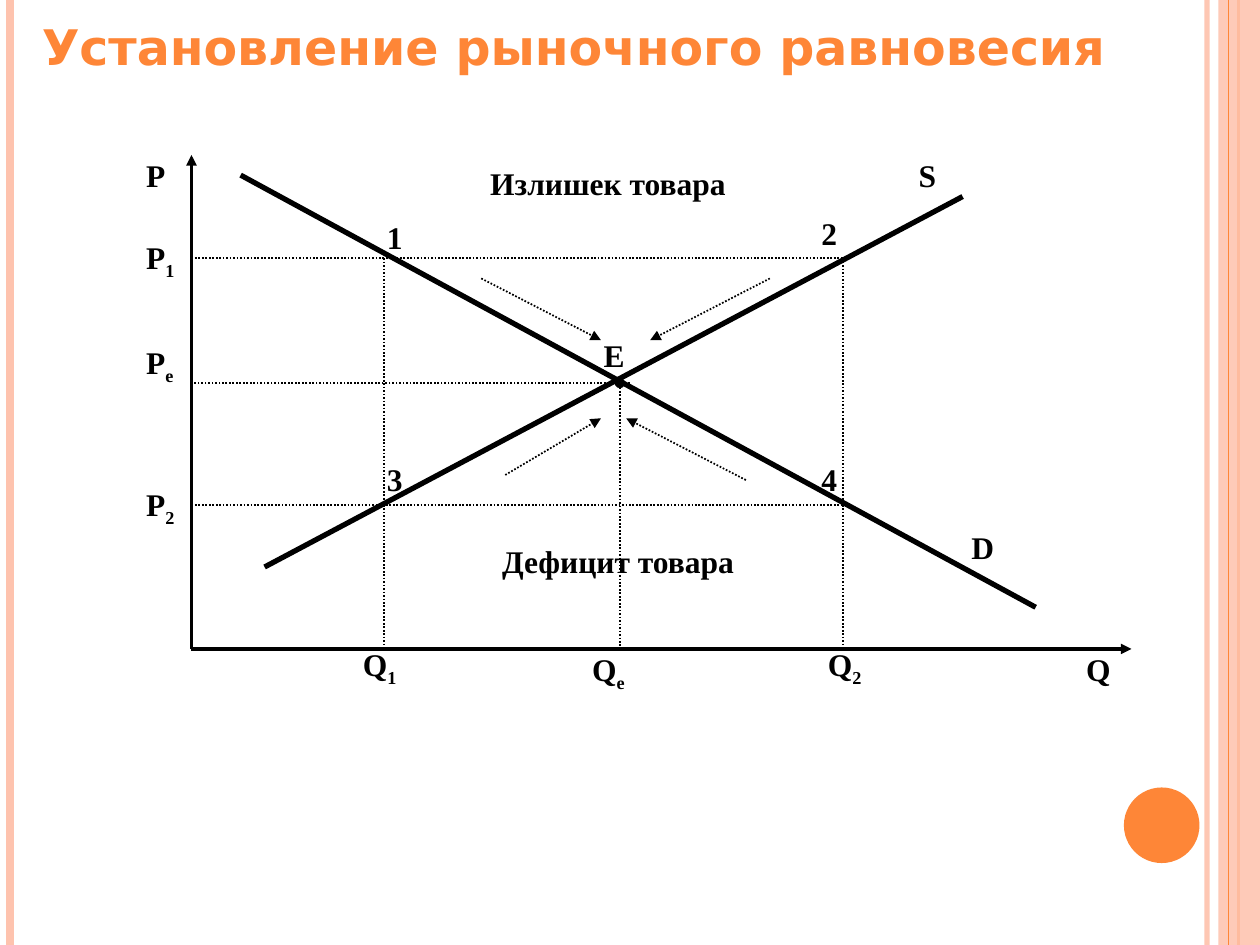
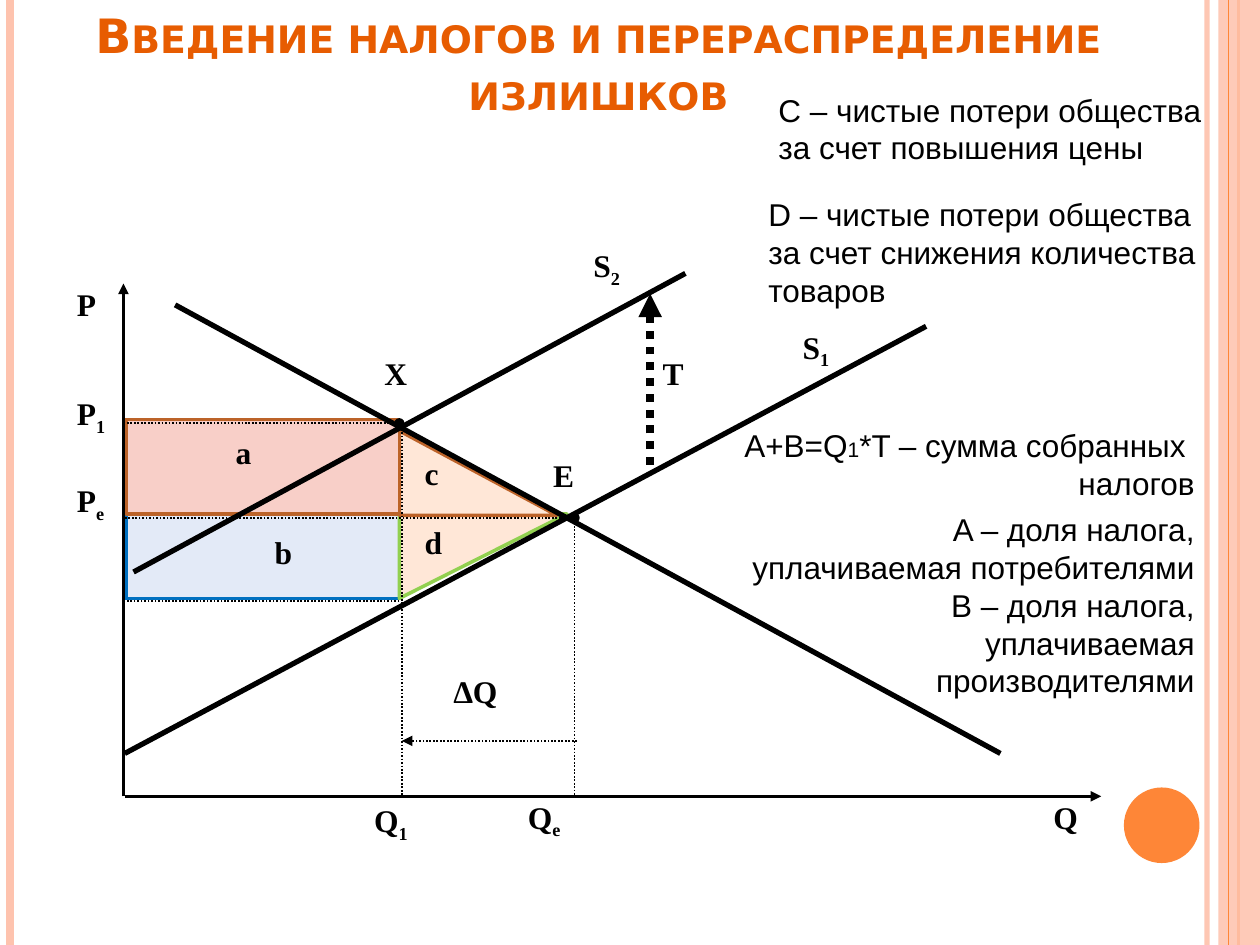
from lxml import etree
from pptx import Presentation
from pptx.dml.color import RGBColor
from pptx.enum.dml import MSO_LINE
from pptx.enum.shapes import MSO_CONNECTOR, MSO_SHAPE
from pptx.enum.text import MSO_ANCHOR, MSO_AUTO_SIZE, PP_ALIGN
from pptx.oxml.ns import qn
from pptx.util import Inches, Pt

STRAIGHT = MSO_CONNECTOR.STRAIGHT
RECT, OVAL, TRIANGLE = MSO_SHAPE.RECTANGLE, MSO_SHAPE.OVAL, MSO_SHAPE.RIGHT_TRIANGLE
DOTS = MSO_LINE.ROUND_DOT
LEFT, CENTER, RIGHT = PP_ALIGN.LEFT, PP_ALIGN.CENTER, PP_ALIGN.RIGHT
TOP, BOTTOM = MSO_ANCHOR.TOP, MSO_ANCHOR.BOTTOM
GROW = MSO_AUTO_SIZE.SHAPE_TO_FIT_TEXT

BLACK, ORANGE, PEACH, DARK_ORANGE = "000000", "FE8637", "FEC3AE", "E75C01"
LABEL = {"name": "Times New Roman", "size": Pt(18), "bold": True}
NOTE = {"name": "Arial", "size": Pt(18), "bold": False}
TITLE = {"name": "DejaVu Sans", "size": Pt(28), "bold": True}


def line(s, x1, y1, x2, y2, width=1, color=BLACK, dash=None, head=None, tail=None):
    c = s.shapes.add_connector(STRAIGHT, Inches(x1), Inches(y1), Inches(x2), Inches(y2))
    c.line.width = Pt(width)
    c.line.color.rgb = RGBColor.from_string(color)
    if dash:
        c.line.dash_style = dash
    ln = c.line._get_or_add_ln()
    for end, kind in (("headEnd", head), ("tailEnd", tail)):
        if kind:
            etree.SubElement(ln, qn(f"a:{end}")).set("type", kind)
    etree.SubElement(c.element.spPr, qn("a:effectLst"))
    return c


def write(sp, paragraphs, fmt, color=BLACK, align=LEFT, index_size=None):
    """Fill a shape; every second piece between underscores is an index."""
    tf = sp.text_frame
    for i, content in enumerate(paragraphs):
        p = tf.add_paragraph() if i else tf.paragraphs[0]
        p.alignment = align
        p.space_before = Pt(0)
        for j, piece in enumerate(content.split("_")):
            r = p.add_run()
            r.text = piece
            for name, value in fmt.items():
                setattr(r.font, name, value)
            r.font.color.rgb = RGBColor.from_string(color)
            if j % 2 and index_size:
                r.font.size = Pt(index_size)
            elif j % 2:
                r._r.get_or_add_rPr().set("baseline", "-25000")


prs = Presentation()
prs.slide_width, prs.slide_height = Inches(10), Inches(7.5)
layout = prs.slide_layouts[5]
market, taxes = [prs.slides.add_slide(layout) for _ in range(2)]

# Side bands and circle, shared through the slide master
decor = [line(market, x, 0, x, 7.5, width, color) for x, width, color in
         ((9.58, 3, PEACH), (0.08, 4.5, PEACH), (9.83, 1.5, ORANGE), (9.75, 0.75, ORANGE))]
for kind, box, color in ((RECT, (9.67, 0, 0.33, 7.5), PEACH),
                         (OVAL, (8.92, 6.25, 0.6, 0.6), ORANGE)):
    sp = market.shapes.add_shape(kind, *map(Inches, box))
    sp.shadow.inherit = False
    sp.fill.solid()
    sp.fill.fore_color.rgb = RGBColor.from_string(color)
    sp.line.fill.background()
    decor.append(sp)
right_line, left_line, thick_line, thin_line, band, circle = decor
for sp, alpha in ((right_line, 93000), (band, 87000)):
    srgb = next(sp.element.iter(qn("a:srgbClr")))
    etree.SubElement(srgb, qn("a:alpha")).set("val", str(alpha))
for i, sp in enumerate((right_line, left_line, thick_line, band, thin_line, circle)):
    next(sp.element.iter(qn("p:cNvPr"))).set("id", str(100 + i))
    prs.slide_master.shapes.element.append(sp.element)

# Titles
for s, words, box, size, color, anchor in (
        (market, "Установление рыночного равновесия", (0.22, 0.08, 8.66, 1.03), 28, ORANGE, TOP),
        (taxes, "Введение налогов и перераспределение излишков", (0, 0, 9.5, 1), 27,
         DARK_ORANGE, BOTTOM)):
    sp = s.shapes.title
    sp.left, sp.top, sp.width, sp.height = map(Inches, box)
    sp.text_frame.vertical_anchor = anchor
    sp.text_frame.word_wrap = True
    sp.text_frame.auto_size = MSO_AUTO_SIZE.NONE
    write(sp, [words], {**TITLE, "size": Pt(size)}, color, CENTER)
taxes.shapes.title.text_frame.paragraphs[0].runs[0]._r.get_or_add_rPr().set("cap", "small")

# Areas between the curves
for kind, box, fill, border in (
        (RECT, (1, 3.33, 2.17, 1.42), "E3EAF7", "0070C0"),
        (TRIANGLE, (3.17, 4.08, 1.33, 0.67), "FFE7D7", "92D050"),
        (TRIANGLE, (3.17, 3.42, 1.25, 0.67), "FFE7D7", "BC6329"),
        (RECT, (1, 3.33, 2.17, 0.75), "F8CFC8", "BC6329")):
    sp = taxes.shapes.add_shape(kind, *map(Inches, box))
    sp.shadow.inherit = False
    sp.fill.solid()
    sp.fill.fore_color.rgb = RGBColor.from_string(fill)
    sp.line.color.rgb = RGBColor.from_string(border)
    sp.line.width = Pt(2)
    if border == "92D050":
        sp.element.spPr.find(qn("a:xfrm")).set("flipV", "1")

# Axes and curves
for s, axes, curves in (
        (market, ((1.52, 5.15, 1.52, 1.23), (1.52, 5.15, 8.98, 5.15)),
         ((1.91, 1.39, 8.22, 4.82), (2.1, 4.5, 7.64, 1.56))),
        (taxes, ((0.98, 6.32, 0.98, 2.25), (0.99, 6.32, 8.74, 6.32)),
         ((1.39, 2.42, 7.94, 5.98), (0.99, 5.98, 7.35, 2.59), (1.06, 4.54, 5.44, 2.17)))):
    for ends in axes:
        line(s, *ends, width=2, tail="triangle")
    for ends in curves:
        line(s, *ends, width=3)

# Dotted guides and arrows
for s, ends, head, tail in (
        (market, (5, 3.04, 1.53, 3.04), None, None),
        (market, (4.92, 3.04, 4.92, 5.16), "oval", None),
        (market, (1.52, 2.05, 6.69, 2.05), None, None),
        (market, (1.52, 4.01, 6.68, 4.01), None, None),
        (market, (6.69, 2.05, 6.69, 5.15), None, None),
        (market, (3.05, 2.05, 3.05, 5.15), None, None),
        (market, (3.82, 2.21, 4.77, 2.7), None, "triangle"),
        (market, (4.01, 3.77, 4.77, 3.32), None, "triangle"),
        (market, (6.11, 2.21, 5.16, 2.7), None, "triangle"),
        (market, (5.92, 3.81, 4.97, 3.32), None, "triangle"),
        (taxes, (3.19, 3.43, 3.19, 6.31), None, None),
        (taxes, (4.58, 5.88, 3.19, 5.88), None, "triangle"),
        (taxes, (0.98, 3.36, 3.17, 3.36), None, "oval"),
        (taxes, (3.17, 4.77, 0.98, 4.77), None, None),
        (taxes, (4.56, 4.11, 0.99, 4.11), None, None),
        (taxes, (4.56, 4.11, 4.56, 6.32), "oval", None)):
    line(s, *ends, dash=DOTS, head=head, tail=tail)
line(taxes, 5.16, 3.69, 5.16, 2.33, width=4.5, dash=DOTS, tail="triangle")

# Labels of axes, curves, points and areas
for s, width, height, labels in (
        (market, 0.38, 0.49, (
            ("P", 1.14, 1.23), ("P_1", 1.14, 1.88), ("P_e", 1.14, 2.71), ("P_2", 1.14, 3.84),
            ("S", 7.27, 1.23))),
        (market, 0.57, 0.49, (
            ("Q_1", 2.86, 5.11), ("Q_e", 4.68, 5.15), ("Q_2", 6.55, 5.11), ("Q", 8.6, 5.15),
            ("E", 4.77, 2.66), ("D", 7.69, 4.18), ("1", 3.05, 1.72), ("2", 6.5, 1.69),
            ("3", 3.05, 3.64), ("4", 6.5, 3.64))),
        (taxes, 0.4, 0.51, (
            ("P", 0.59, 2.25), ("P_1", 0.59, 3.12), ("P_e", 0.59, 3.81), ("Т", 5.24, 2.8),
            ("Х", 3.03, 2.8), ("а", 1.85, 3.43), ("b", 2.16, 4.22), ("c", 3.35, 3.59),
            ("d", 3.35, 4.14), ("S_1", 6.35, 2.59), ("S_2", 4.69, 1.94))),
        (taxes, 0.6, 0.51, (
            ("Q_1", 2.95, 6.35), ("Q_e", 4.17, 6.32), ("Q", 8.34, 6.32), ("E", 4.37, 3.61),
            ("∆Q", 3.58, 5.32)))):
    for words, x, y in labels:
        sp = s.shapes.add_textbox(*map(Inches, (x, y, width, height)))
        tf = sp.text_frame
        tf.word_wrap = True
        tf.margin_left = tf.margin_right = Inches(0.02)
        tf.margin_top = tf.margin_bottom = Inches(0.01)
        write(sp, [words], LABEL)

# Captions and explanations
for s, box, paragraphs, fmt, align, wrap in (
        (market, (3.25, 4.25, 3.31, 0.4), ["Дефицит товара"], LABEL, CENTER, True),
        (market, (3.17, 1.25, 3.31, 0.4), ["Излишек товара"], LABEL, CENTER, True),
        (taxes, (6.08, 0.67, 3.66, 0.71),
         ["С – чистые потери общества", "за счет повышения цены"], NOTE, LEFT, False),
        (taxes, (6, 1.5, 3.69, 1.01),
         ["D – чистые потери общества", "за счет снижения количества", "товаров"],
         NOTE, LEFT, False),
        (taxes, (5.75, 3.33, 3.83, 0.71),
         ["A+B=Q_1_*T – сумма собранных ", "налогов"], NOTE, RIGHT, True),
        (taxes, (5.75, 4, 3.83, 1.62),
         ["A – доля налога, уплачиваемая потребителями",
          "В – доля налога, уплачиваемая производителями"], NOTE, RIGHT, True)):
    sp = s.shapes.add_textbox(*map(Inches, box))
    sp.text_frame.word_wrap = wrap
    sp.text_frame.auto_size = GROW
    write(sp, paragraphs, fmt, align=align, index_size=12)

prs.save("out.pptx")
